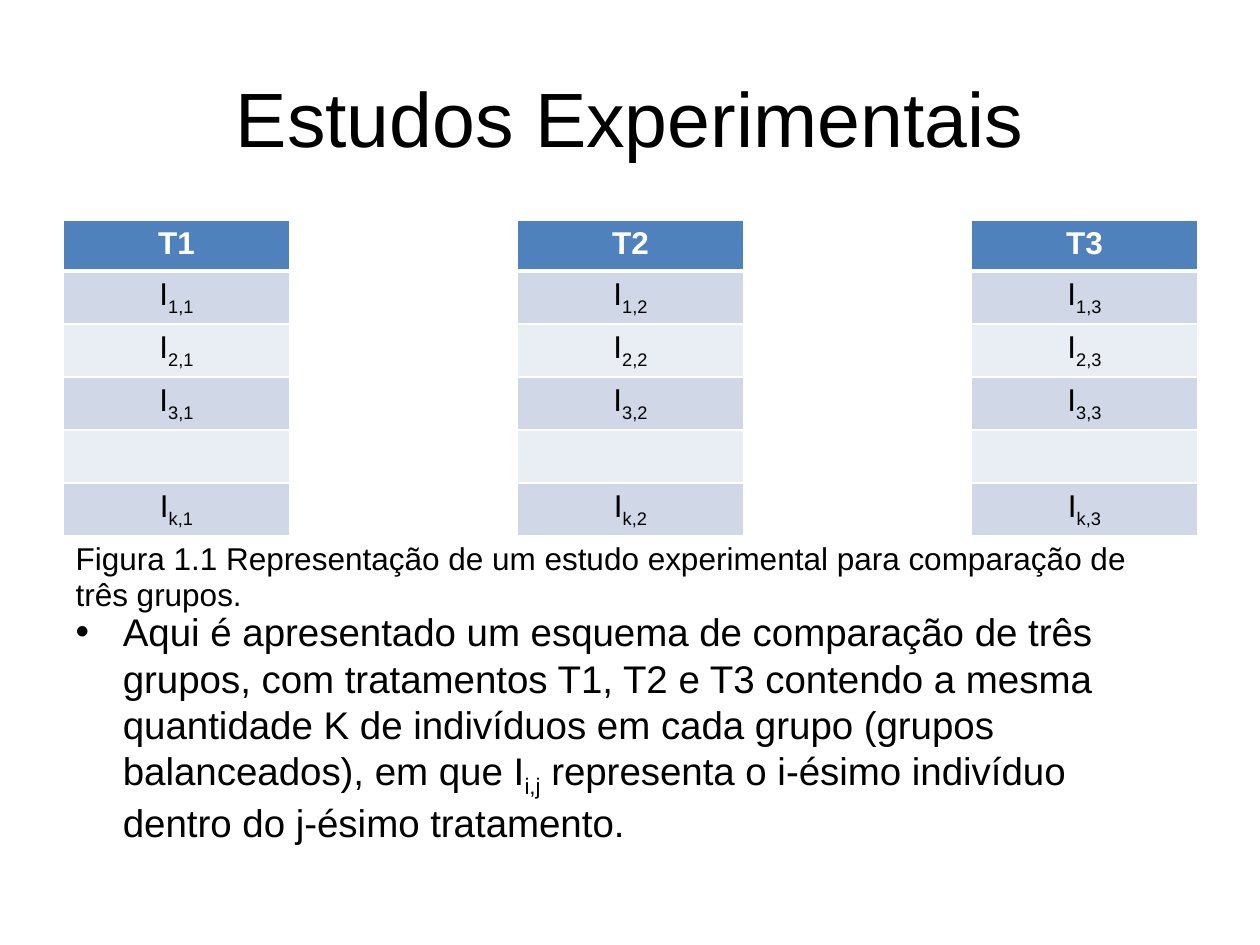
from lxml import etree
from pptx import Presentation
from pptx.dml.color import RGBColor
from pptx.enum.text import MSO_ANCHOR, MSO_AUTO_SIZE, PP_ALIGN
from pptx.oxml.ns import qn
from pptx.util import Pt

CENTER = PP_ALIGN.CENTER
MIDDLE = MSO_ANCHOR.MIDDLE
TOP = MSO_ANCHOR.TOP
FIXED = MSO_AUTO_SIZE.NONE

BLACK = RGBColor(0x00, 0x00, 0x00)
WHITE = RGBColor(0xFF, 0xFF, 0xFF)
BLUE = RGBColor(0x4F, 0x81, 0xBD)
BANDS = [RGBColor(0xD0, 0xD8, 0xE8), RGBColor(0xE9, 0xED, 0xF4)]

TITLE = "Estudos Experimentais"
GROUPS = ["T1", "T2", "T3"]
UNITS = ["1", "2", "3", "", "k"]
CAPTION = ("Figura 1.1 Representação de um estudo experimental "
           "para comparação de três grupos.")
BODY = [
    ("Aqui é apresentado um esquema de comparação de três grupos, com "
     "tratamentos T1, T2 e T3 contendo a mesma quantidade K de indivíduos "
     "em cada grupo (grupos balanceados), em que I", False),
    ("i,j", True),
    (" representa o i-ésimo indivíduo dentro do j-ésimo tratamento.", False),
]

FONT = "Arial"
SCALE = 914400 / 126
LEFT, WIDTH = 63, 1134
COL = 227
HEIGHTS = [51] + [53] * len(UNITS) + [51]


def px(n):
    return round(n * SCALE)


def place(shape, left, top, width, height):
    shape.left, shape.top = px(left), px(top)
    shape.width, shape.height = px(width), px(height)


def write(para, parts, size, color=BLACK, bold=False):
    for text, sub in parts:
        run = para.add_run()
        run.text = text
        font = run.font
        font.name, font.size, font.bold = FONT, Pt(size), bold
        font.color.rgb = color
        if sub:
            run._r.get_or_add_rPr().set("baseline", "-25000")


def paint(cell, color):
    cell.fill.solid()
    cell.fill.fore_color.rgb = color


def edge(cell, row):
    props = cell._tc.get_or_add_tcPr()
    wide = {"T": 3 if row == 1 else 1, "B": 3 if row == 0 else 1}
    for spot, side in enumerate("LRTB"):
        line = etree.Element(qn(f"a:ln{side}"), w=str(Pt(wide.get(side, 1))))
        fill = etree.SubElement(line, qn("a:solidFill"))
        etree.SubElement(fill, qn("a:srgbClr"), val=str(WHITE))
        props.insert(spot, line)


def build_table(slide):
    rows, cols = len(HEIGHTS), 2 * len(GROUPS) - 1
    frame = slide.shapes.add_table(
        rows, cols, px(LEFT), px(220), px(WIDTH), px(sum(HEIGHTS)))
    table = frame.table
    for col in table.columns:
        col.width = px(COL)
    for i, high in enumerate(HEIGHTS):
        table.rows[i].height = px(high)
        for cell in table.rows[i].cells:
            cell.fill.background()
            edge(cell, i)

    for j, group in enumerate(GROUPS):
        head = table.cell(0, 2 * j)
        paint(head, BLUE)
        para = head.text_frame.paragraphs[0]
        para.alignment = CENTER
        write(para, [(group, False)], 18, WHITE, True)
        for i, unit in enumerate(UNITS):
            cell = table.cell(i + 1, 2 * j)
            paint(cell, BANDS[i % 2])
            para = cell.text_frame.paragraphs[0]
            para.alignment = CENTER
            if unit:
                write(para, [("I", False), (f"{unit},{j + 1}", True)], 18)

    note = table.cell(rows - 1, 0)
    note.merge(table.cell(rows - 1, cols - 1))
    write(note.text_frame.paragraphs[0], [(CAPTION, False)], 18)
    return frame


def main():
    deck = Presentation()
    deck.slide_width, deck.slide_height = px(1260), px(945)
    slide = deck.slides.add_slide(deck.slide_layouts[1])

    title = slide.shapes.title
    place(title, LEFT, 38, WIDTH, 157)
    title.text_frame.vertical_anchor = MIDDLE
    para = title.text_frame.paragraphs[0]
    para.alignment = CENTER
    write(para, [(TITLE, False)], 44)

    frame = build_table(slide)

    body = slide.placeholders[1]
    place(body, LEFT, 602, WIDTH, 189)
    body.text_frame.auto_size = FIXED
    body.text_frame.vertical_anchor = TOP
    write(body.text_frame.paragraphs[0], BODY, 22)
    frame.element.addnext(body.element)

    deck.save("out.pptx")


if __name__ == "__main__":
    main()
